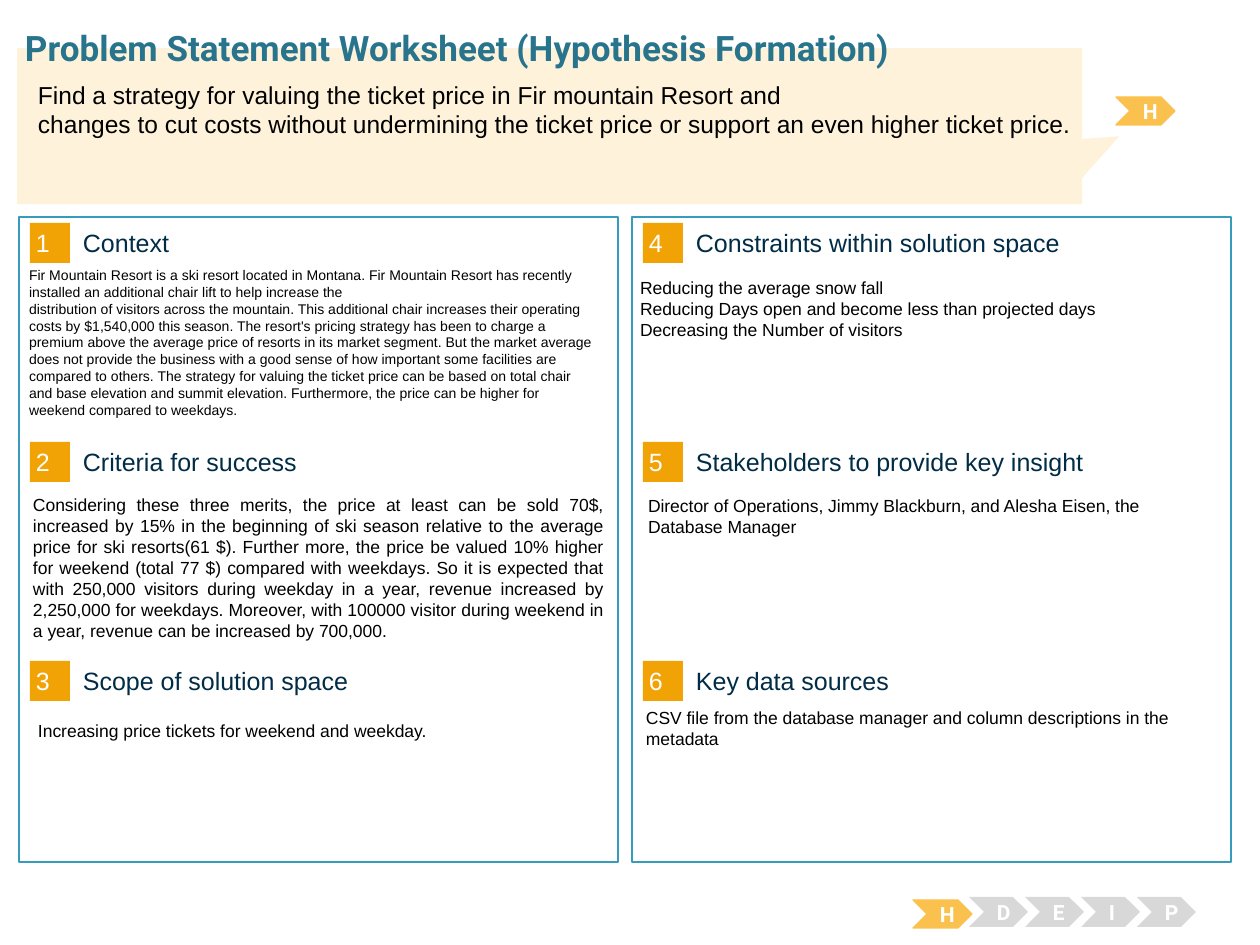
from dataclasses import dataclass
from pptx import Presentation
from pptx.dml.color import RGBColor
from pptx.enum.shapes import MSO_SHAPE as Shape
from pptx.enum.text import MSO_ANCHOR as Anchor, PP_ALIGN as Align
from pptx.util import Emu, Pt

SCALE = 914400 / 126


@dataclass(frozen=True)
class Theme:
    body_font: str = "Arial"
    display_font: str = "Roboto"
    title: str = "29748D"
    heading: str = "002C46"
    text: str = "000000"
    white: str = "FFFFFF"
    panel_line: str = "379BBD"
    badge: str = "F1A205"
    active: str = "FBC14E"
    idle: str = "D8D8D8"
    callout: str = "FEF2DA"
    title_size: float = 20
    lead_size: float = 14
    heading_size: float = 14.3
    phase_size: float = 12
    body_size: float = 10
    small_size: float = 8


THEME = Theme()
NO_INSET = (0, 0)
BADGE_INSET = (6, 6)
TEXT_INSET = (13, 6)


def px(value):
    return Emu(round(value * SCALE))


def color(value):
    return RGBColor.from_string(value)


def write(shape, paragraphs, size, ink, font=THEME.body_font, bold=False,
          align=Align.LEFT, anchor=Anchor.TOP, inset=TEXT_INSET):
    frame = shape.text_frame
    frame.word_wrap = True
    frame.vertical_anchor = anchor
    frame.margin_left = frame.margin_right = px(inset[0])
    frame.margin_top = frame.margin_bottom = px(inset[1])
    for index, content in enumerate(paragraphs):
        para = frame.add_paragraph() if index else frame.paragraphs[0]
        para.alignment = align
        for number, line in enumerate(content.split("\n")):
            if number:
                para.add_line_break()
            span = para.add_run()
            span.text = line
            span.font.name = font
            span.font.size = Pt(size)
            span.font.bold = bold
            span.font.color.rgb = color(ink)


def add_shape(page, kind, box, fill, line=None, width=0.75):
    shape = page.shapes.add_shape(kind, *map(px, box))
    shape.shadow.inherit = False
    shape.fill.solid()
    shape.fill.fore_color.rgb = color(fill)
    if line:
        shape.line.color.rgb = color(line)
        shape.line.width = Pt(width)
    else:
        shape.line.fill.background()
    return shape


def add_text(page, box, paragraphs, size, ink, **style):
    write(page.shapes.add_textbox(*map(px, box)), paragraphs, size, ink, **style)


def add_header(page, box, title, lead):
    left, top, width, height = box
    callout = add_shape(page, Shape.RECTANGULAR_CALLOUT, box, THEME.callout)
    callout.adjustments[0] = 0.535
    callout.adjustments[1] = 0.066
    add_text(page, (left + 8, top - 22, 1212, 43), [title], THEME.title_size,
             THEME.title, font=THEME.display_font, bold=True, inset=NO_INSET)
    add_text(page, (left + 8, top + 26, 1183, 68), [lead],
             THEME.lead_size, THEME.text)


def add_section(page, left, top, number, section):
    heading, paragraphs, (shift, drop, height), size, align = section
    badge = add_shape(page, Shape.RECTANGLE, (left + 11, top + 6, 40, 40), THEME.badge)
    write(badge, [str(number)], THEME.heading_size, THEME.white,
          anchor=Anchor.MIDDLE, inset=BADGE_INSET)
    add_text(page, (left + 64, top + 10, 495, 31), [heading], THEME.heading_size,
             THEME.heading, anchor=Anchor.MIDDLE, inset=NO_INSET)
    add_text(page, (left + shift, top + drop, 596, height), paragraphs, size,
             THEME.text, align=align)


def add_panel(page, box, first, sections):
    left, top, width, height = box
    add_shape(page, Shape.RECTANGLE, box, THEME.white, THEME.panel_line, 1.5)
    for index, section in enumerate(sections):
        add_section(page, left, top + index * 219, first + index, section)


def add_phase(page, left, top, letter, active):
    if active:
        chevron = add_shape(page, Shape.CHEVRON, (left, top + 3, 59, 28),
                            THEME.active, THEME.active)
    else:
        chevron = add_shape(page, Shape.CHEVRON, (left, top, 59, 30), THEME.idle)
    write(chevron, [letter], THEME.phase_size, THEME.white, font=THEME.display_font,
          bold=True, align=Align.CENTER, anchor=Anchor.MIDDLE)


def add_tracker(page, left, top, letters, current):
    for index, letter in enumerate(letters):
        add_phase(page, left + index * 56, top, letter, letter == current)


CONTEXT = (
    "Fir Mountain Resort is a ski resort located in Montana. Fir Mountain Resort has "
    "recently installed an additional chair lift to help increase the\n"
    "distribution of visitors across the mountain. This additional chair increases "
    "their operating costs by $1,540,000 this season. The resort's pricing strategy "
    "has been to charge a premium above the average price of resorts in its market "
    "segment. But the market average does not provide the business with a good sense "
    "of how important some facilities are compared to others. The strategy for valuing "
    "the ticket price can be based on total chair and base elevation and summit "
    "elevation. Furthermore, the price can be higher for weekend compared to weekdays.")
CRITERIA = (
    "Considering these three merits, the price at least can be sold 70$, increased by "
    "15% in the beginning of ski season relative to the average price for ski "
    "resorts(61 $). Further more, the price be valued 10% higher for weekend (total "
    "77 $) compared with weekdays. So it is expected that with 250,000 visitors during "
    "weekday in a year, revenue increased by 2,250,000 for weekdays. Moreover, with "
    "100000 visitor during weekend in a year, revenue can be increased by 700,000.")
CONSTRAINTS = ["Reducing the average snow fall",
               "Reducing Days open and become less than projected days",
               "Decreasing the Number of visitors"]
STAKEHOLDERS = ("Director of Operations, Jimmy Blackburn, and Alesha Eisen, "
                "the Database Manager")
SOURCES = "CSV file from the database manager and column descriptions in the metadata"
SCOPE = "Increasing price tickets for weekend and weekday."
LEAD = ("Find a strategy for valuing the ticket price in Fir mountain Resort and\n"
        "changes to cut costs without undermining the ticket price or support "
        "an even higher ticket price.")

BODY, SMALL = THEME.body_size, THEME.small_size
LEFT_SECTIONS = [
    ("Context", [CONTEXT], (-3, 44, 190), SMALL, Align.LEFT),
    ("Criteria for success", [CRITERIA], (1, 52, 67), BODY, Align.JUSTIFY),
    ("Scope of solution space", [SCOPE], (6, 59, 103), BODY, Align.LEFT),
]
RIGHT_SECTIONS = [
    ("Constraints within solution space", CONSTRAINTS, (-5, 54, 149), BODY, Align.LEFT),
    ("Stakeholders to provide key insight", [STAKEHOLDERS], (3, 53, 149), BODY, Align.LEFT),
    ("Key data sources", [SOURCES], (1, 46, 149), BODY, Align.LEFT),
]

deck = Presentation()
deck.slide_width, deck.slide_height = px(1260), px(945)
page = deck.slides.add_slide(deck.slide_layouts[6])
add_panel(page, (19, 217, 599, 645), 1, LEFT_SECTIONS)
add_panel(page, (632, 217, 599, 645), 4, RIGHT_SECTIONS)
add_tracker(page, 913, 897, "HDEIP", "H")
add_phase(page, 1116, 94, "H", True)
add_header(page, (17, 48, 1065, 156),
           "Problem Statement Worksheet (Hypothesis Formation)", LEAD)
deck.save("out.pptx")
